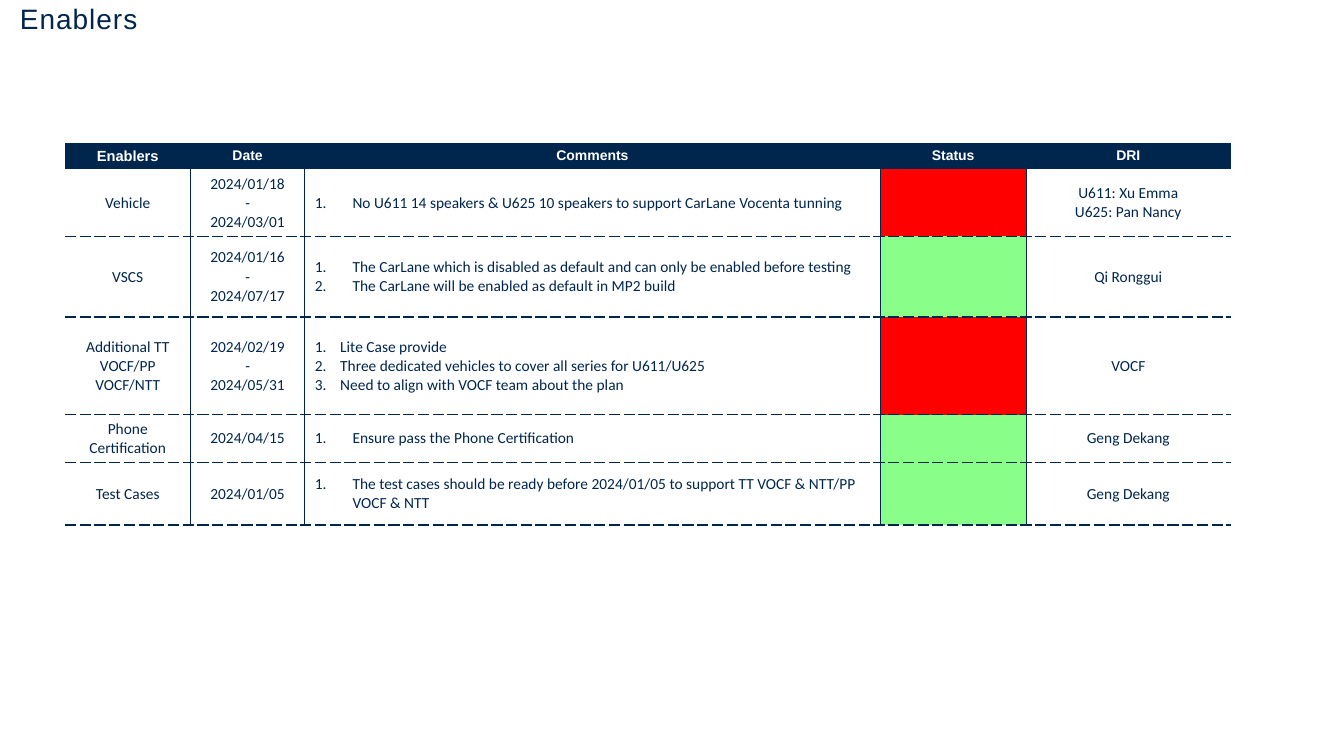
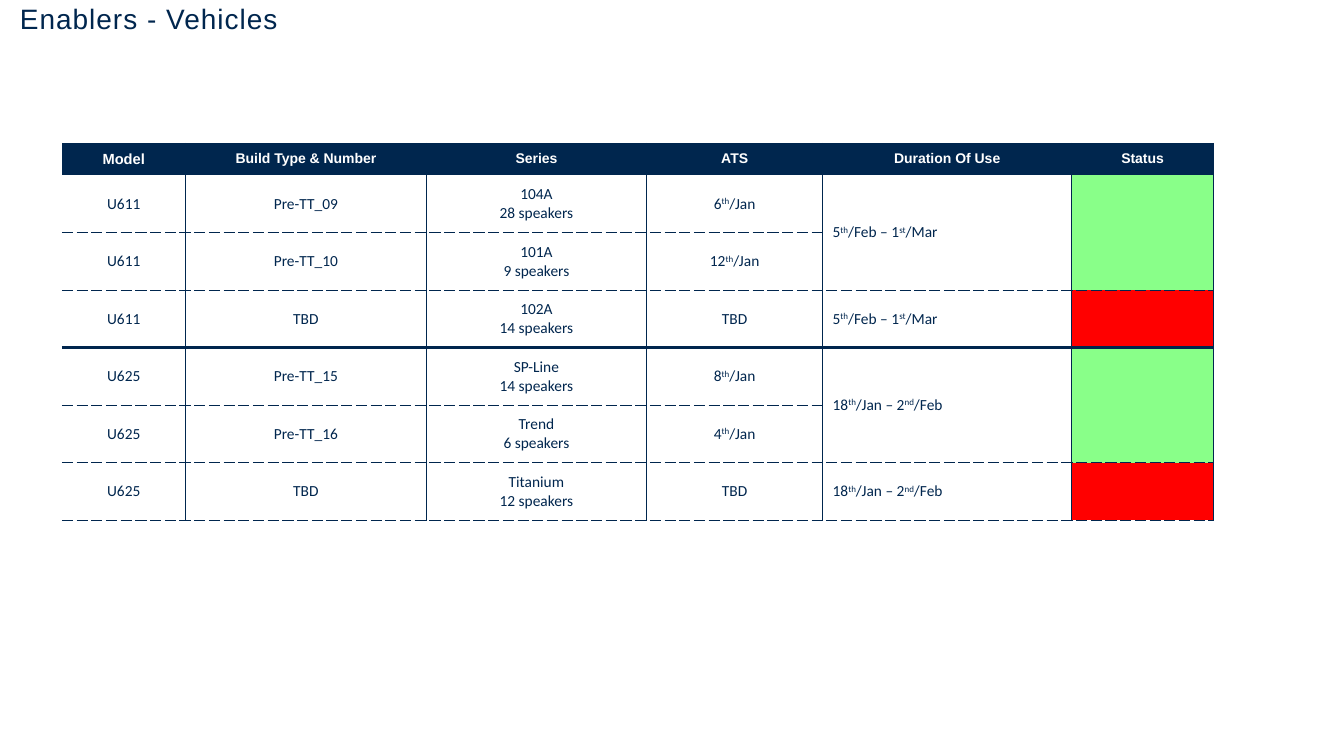
from dataclasses import dataclass

from lxml.etree import SubElement
from pptx import Presentation
from pptx.dml.color import RGBColor
from pptx.enum.text import MSO_ANCHOR as Anchor, MSO_AUTO_SIZE as AutoSize, PP_ALIGN as Align
from pptx.oxml.ns import qn
from pptx.util import Cm, Pt

NAVY = RGBColor(0x00, 0x26, 0x4E)
WHITE = RGBColor(0xFF, 0xFF, 0xFF)
RED = RGBColor(0xFF, 0x00, 0x00)
GREEN = RGBColor(0x89, 0xFF, 0x89)

SOLID = (1, "solid")
DASHED = (1, "sysDash")
THICK = (3, "solid")


@dataclass
class Numbered:
    """Numbered list with its hanging indent in centimetres."""
    items: tuple
    indent: float = 0.95


def add_text(p, text, size=11, font="Calibri", color=NAVY, bold=False, spacing=None):
    """Add runs to a paragraph; parts between carets are superscript."""
    for i, part in enumerate(text.split("^")):
        r = p.add_run()
        r.text = part
        r.font.size, r.font.name, r.font.bold = Pt(size), font, bold
        r.font.color.rgb = color
        rPr = r._r.get_or_add_rPr()
        if i % 2:
            rPr.set("baseline", "30000")
        if spacing:
            rPr.set("spc", str(spacing))


def add_title(s, text):
    """Place and format the slide title."""
    sp = s.shapes.title
    sp.left, sp.top, sp.width, sp.height = Cm(0.5), Cm(0), Cm(29.2), Cm(1.9)
    tf = sp.text_frame
    tf.auto_size, tf.word_wrap = AutoSize.NONE, True
    tf.vertical_anchor = Anchor.TOP
    tf.margin_left = 0
    p = tf.paragraphs[0]
    p.alignment, p.line_spacing = Align.LEFT, 0.9
    add_text(p, text, size=20, font="Arial", spacing=70)


def set_border(cell, side, line):
    """Draw one cell edge, or clear it when line is None."""
    ln = SubElement(cell._tc.get_or_add_tcPr(), qn(f"a:ln{side}"))
    if line is None:
        SubElement(ln, qn("a:noFill"))
        return
    width, dash = line
    ln.set("w", str(Pt(width)))
    fill = SubElement(ln, qn("a:solidFill"))
    SubElement(fill, qn("a:srgbClr")).set("val", str(NAVY))
    SubElement(ln, qn("a:prstDash")).set("val", dash)


def write_cell(cell, content, align, **fmt):
    """Write lines or a numbered list into a cell."""
    numbered = isinstance(content, Numbered)
    lines = content.items if numbered else content.split("\n")
    tf = cell.text_frame
    for i, text in enumerate(lines):
        p = tf.add_paragraph() if i else tf.paragraphs[0]
        p.alignment = Align.LEFT if numbered else align
        if numbered:
            pPr = p._p.get_or_add_pPr()
            pPr.set("marL", str(Cm(content.indent)))
            pPr.set("indent", str(-Cm(content.indent)))
            SubElement(pPr, qn("a:buAutoNum")).set("type", "arabicPeriod")
        add_text(p, text, **fmt)


def add_status_table(s, left, top, widths, heights, rows, left_cols=(), divider=None, closed=False):
    """Add a table; a colour fills its cell and None extends the cell above."""
    frame = s.shapes.add_table(len(rows), len(widths), Cm(left), Cm(top),
                               Cm(sum(widths)), Cm(sum(heights)))
    table = frame.table
    table.first_row = table.horz_banding = False
    for col, width in zip(table.columns, widths):
        col.width = Cm(width)
    for row, height in zip(table.rows, heights):
        row.height = Cm(height)

    edges = [None, None] + [THICK if i == divider else DASHED for i in range(1, len(rows))]
    sides = [None] + [SOLID] * (len(widths) - 1) + [SOLID if closed else None]
    for i, row in enumerate(rows):
        for j, content in enumerate(row):
            cell = table.cell(i, j)
            for side, line in zip("LRTB", (sides[j], sides[j + 1], edges[i], edges[i + 1])):
                set_border(cell, side, line)
            is_status = isinstance(content, RGBColor)
            cell.fill.solid()
            cell.fill.fore_color.rgb = content if is_status else WHITE if i else NAVY
            cell.vertical_anchor = Anchor.MIDDLE
            if content is None:
                table.cell(i - 1, j).merge(cell)
            elif i == 0:
                write_cell(cell, content, Align.CENTER, size=10 if j else 10.5,
                           font="Arial", color=WHITE, bold=True)
            elif not is_status:
                write_cell(cell, content, Align.LEFT if j in left_cols else Align.CENTER)


def add_slide(prs, title, **table):
    """Add a title-only slide with a status table."""
    s = prs.slides.add_slide(prs.slide_layouts[5])
    add_title(s, title)
    add_status_table(s, **table)


ENABLERS = [
    ("Enablers", "Date", "Comments", "Status", "DRI"),
    ("Vehicle", "2024/01/18\n-\n2024/03/01",
     Numbered(("No U611 14 speakers & U625 10 speakers to support CarLane Vocenta tunning",)),
     RED, "U611: Xu Emma\nU625: Pan Nancy"),
    ("VSCS", "2024/01/16\n-\n2024/07/17",
     Numbered(("The CarLane which is disabled as default and can only be enabled before testing",
               "The CarLane will be enabled as default in MP2 build")),
     GREEN, "Qi Ronggui"),
    ("Additional TT VOCF/PP VOCF/NTT", "2024/02/19\n-\n2024/05/31",
     Numbered(("Lite Case provide",
               "Three dedicated vehicles to cover all series for U611/U625",
               "Need to align with VOCF team about the plan"), indent=0.64),
     RED, "VOCF"),
    ("Phone Certification", "2024/04/15",
     Numbered(("Ensure pass the Phone Certification",)), GREEN, "Geng Dekang"),
    ("Test Cases", "2024/01/05",
     Numbered(("The test cases should be ready before 2024/01/05 to support "
               "TT VOCF & NTT/PP VOCF & NTT",)), GREEN, "Geng Dekang"),
]

FEB_USE = "5^th^/Feb – 1^st^/Mar"
JAN_USE = "18^th^/Jan – 2^nd^/Feb"
VEHICLES = [
    ("Model", "Build Type & Number", "Series", "ATS", "Duration Of Use", "Status"),
    ("U611", "Pre-TT_09", "104A\n28 speakers", "6^th^/Jan", FEB_USE, GREEN),
    ("U611", "Pre-TT_10", "101A\n9 speakers", "12^th^/Jan", None, None),
    ("U611", "TBD", "102A\n14 speakers", "TBD", FEB_USE, RED),
    ("U625", "Pre-TT_15", "SP-Line\n14 speakers", "8^th^/Jan", JAN_USE, GREEN),
    ("U625", "Pre-TT_16", "Trend\n6 speakers", "4^th^/Jan", None, None),
    ("U625", "TBD", "Titanium\n12 speakers", "TBD", JAN_USE, RED),
]


def main():
    """Build and save the presentation."""
    prs = Presentation()
    prs.slide_width, prs.slide_height = Cm(33.87), Cm(19.05)
    add_slide(prs, "Enablers", left=1.64, top=3.6, rows=ENABLERS,
              widths=(3.16, 2.88, 14.5, 3.68, 5.15),
              heights=(0.66, 1.57, 2.03, 2.46, 1.14, 1.57))
    add_slide(prs, "Enablers - Vehicles", left=1.56, top=3.6, rows=VEHICLES,
              widths=(3.12, 6.06, 5.56, 4.43, 6.28, 3.57),
              heights=(0.81, *[1.45] * 6), left_cols=(4,), divider=3, closed=True)
    prs.save("out.pptx")


if __name__ == "__main__":
    main()
